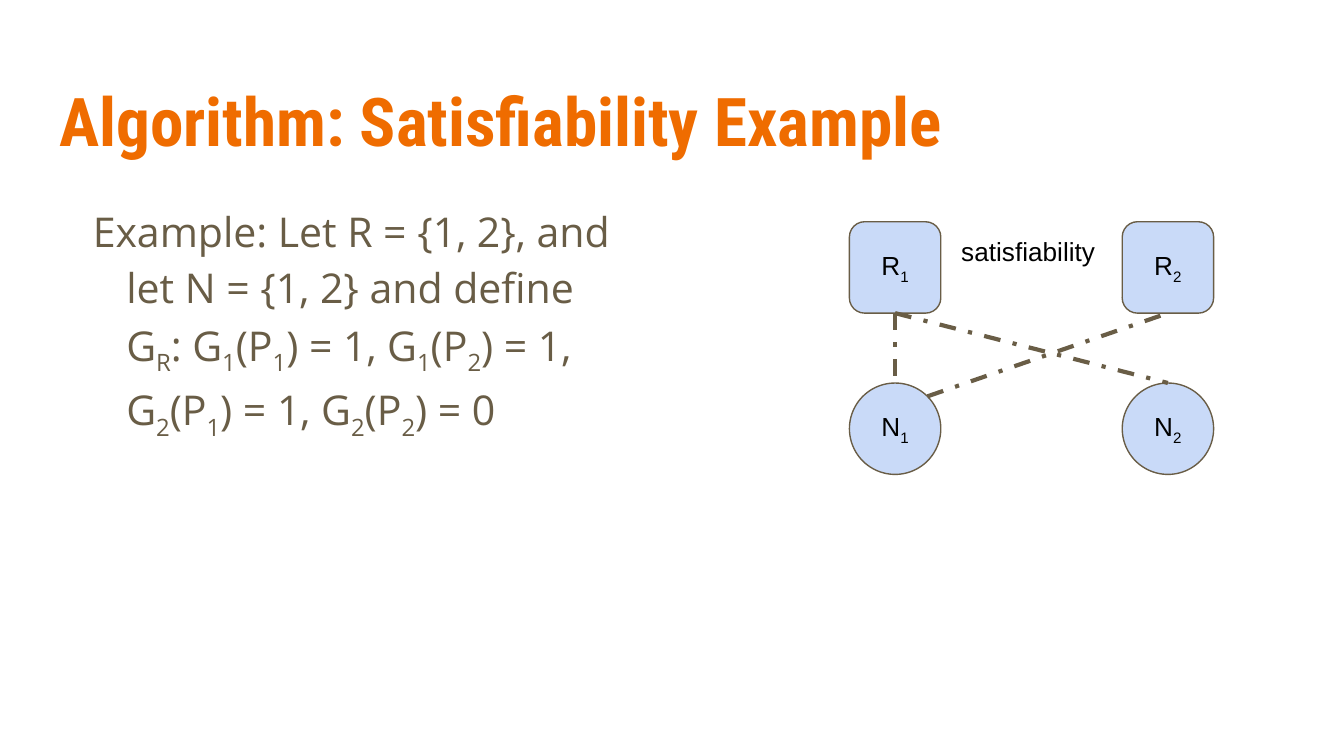
import math

from lxml import etree
from pptx import Presentation
from pptx.dml.color import RGBColor
from pptx.enum.dml import MSO_LINE
from pptx.enum.shapes import MSO_CONNECTOR, MSO_SHAPE
from pptx.enum.text import MSO_ANCHOR, MSO_AUTO_SIZE, PP_ALIGN
from pptx.oxml.ns import qn
from pptx.util import Inches, Pt

ROUND, OVAL = MSO_SHAPE.ROUNDED_RECTANGLE, MSO_SHAPE.OVAL
STRAIGHT, DASH = MSO_CONNECTOR.STRAIGHT, MSO_LINE.DASH_DOT
TOP, MIDDLE = MSO_ANCHOR.TOP, MSO_ANCHOR.MIDDLE
LEFT, CENTER = PP_ALIGN.LEFT, PP_ALIGN.CENTER
FIXED = MSO_AUTO_SIZE.NONE

COLORS = {"title": "EF6C00", "body": "695D46", "node": "C9DAF8",
          "label": "000000", "back": "FFFFFF"}


def paint(name):
    """Return the named colour."""
    return RGBColor.from_string(COLORS[name])


def place(shape, box):
    """Move a shape to a box of left, top, width and height in inches."""
    shape.left, shape.top, shape.width, shape.height = map(Inches, box)


def write(shape, text, size=14, font="Arial", color="label", bold=False,
          align=CENTER, anchor=TOP):
    """Write text where "_" lowers the next letter and "\\n" breaks the line."""
    frame = shape.text_frame
    frame.word_wrap, frame.auto_size = True, FIXED
    frame.vertical_anchor = anchor
    frame.margin_left = frame.margin_right = Inches(0.1)
    frame.margin_top = frame.margin_bottom = Inches(0.1)
    para = frame.paragraphs[0]
    para.alignment = align

    def add(part, low=False):
        """Add one run, lowered or not."""
        run = para.add_run()
        run.text = part
        run.font.size, run.font.name, run.font.bold = Pt(size), font, bold
        run.font.color.rgb = paint(color)
        if low:
            run.font._element.set("baseline", "-25000")

    for row, line in enumerate(text.split("\n")):
        if row:
            para.add_line_break()
        first, *rest = line.split("_")
        add(first)
        for part in rest:
            add(part[0], low=True)
            if part[1:]:
                add(part[1:])
    return para


def add_title(slide, box):
    """Fill the title placeholder."""
    place(slide.shapes.title, box)
    write(slide.shapes.title, "Algorithm: Satisfiability Example", size=36,
          font="Roboto Condensed", color="title", bold=True, align=LEFT)


def add_body(slide, box):
    """Fill the body placeholder with the example, hanging and unbulleted."""
    body = slide.placeholders[1]
    place(body, box)
    para = write(body, "Example: Let R = {1, 2}, and let N = {1, 2} and define \n"
                 "G_R: G_1(P_1) = 1, G_1(P_2) = 1, G_2(P_1) = 1, G_2(P_2) = 0",
                 size=22, font="Open Sans", color="body", align=LEFT)
    para.line_spacing = 1.15
    para.space_before, para.space_after = Pt(0), Pt(16)
    props = para._p.get_or_add_pPr()
    props.set("marL", str(Inches(0.5)))
    props.set("indent", str(Inches(-0.25)))
    etree.SubElement(props, qn("a:buNone"))


def add_node(group, kind, box, text):
    """Add one labelled node of the graph."""
    node = group.shapes.add_shape(kind, *map(Inches, box))
    node.shadow.inherit = False
    node.fill.solid()
    node.fill.fore_color.rgb = paint("node")
    node.line.color.rgb = paint("body")
    node.line.width = Pt(0.75)
    write(node, text, anchor=MIDDLE)


def add_edge(group, start, end):
    """Add one dashed edge between two points."""
    edge = group.shapes.add_connector(STRAIGHT, *map(Inches, start + end))
    edge.line.color.rgb = paint("body")
    edge.line.width = Pt(2.25)
    edge.line.dash_style = DASH
    etree.SubElement(edge._element.spPr, qn("a:effectLst"))


def add_graph(slide, box, side=0.68):
    """Draw the two-by-two graph with nodes in the corners of the box."""
    left, top, width, height = box
    group = slide.shapes.add_group_shape()
    cols = left, left + width - side
    low = top + height - side
    for kind, name, y in ((ROUND, "R", top), (OVAL, "N", low)):
        for num, x in enumerate(cols, 1):
            add_node(group, kind, (x, y, side, side), f"{name}_{num}")

    half = side / 2
    mids = [x + half for x in cols]
    foot = top + side
    reach = half * math.sqrt(0.5)
    corner = (mids[0] + reach, low + half - reach)
    add_edge(group, (mids[0], foot), (mids[0], low))
    add_edge(group, corner, (mids[1], foot))
    add_edge(group, (mids[0], foot), (mids[1], low))

    label = slide.shapes.add_textbox(*map(Inches, (left + 0.72, top, 1.22, 0.58)))
    write(label, "satisfiability")


def main():
    """Build and save the slide."""
    deck = Presentation()
    deck.slide_width = Inches(10)
    deck.slide_height = deck.slide_width * 9 // 16
    slide = deck.slides.add_slide(deck.slide_layouts[1])
    slide.background.fill.solid()
    slide.background.fill.fore_color.rgb = paint("back")
    add_title(slide, (0.34, 0.49, 9.32, 0.77))
    add_body(slide, (0.34, 1.38, 4.37, 3.61))
    add_graph(slide, (6.32, 1.65, 2.71, 1.88))
    deck.save("out.pptx")


if __name__ == "__main__":
    main()
